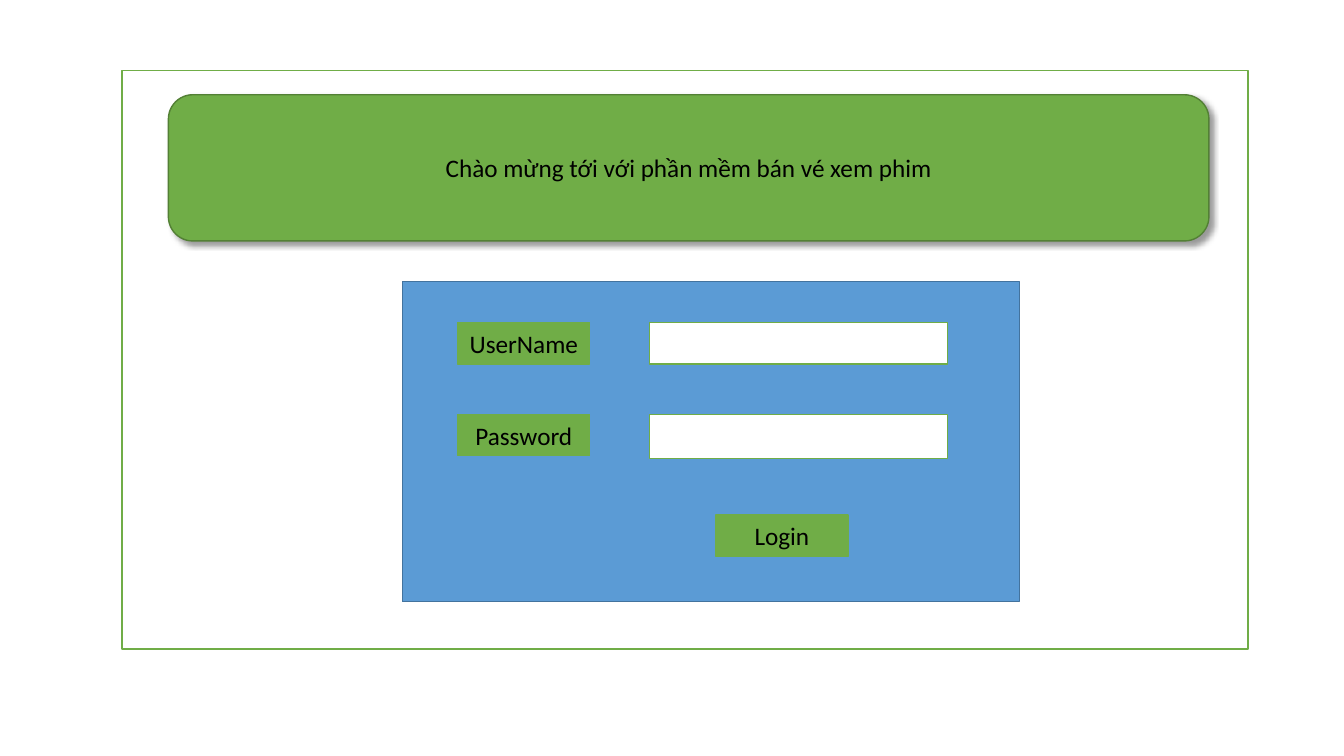
"""Login screen mock-up for a cinema ticket application."""
from dataclasses import dataclass

import pptx
import pptx.dml.color
import pptx.enum.shapes
import pptx.enum.text
import pptx.oxml
import pptx.oxml.ns
import pptx.shapes.autoshape
import pptx.slide
import pptx.util

Inches = pptx.util.Inches
SHAPE = pptx.enum.shapes.MSO_SHAPE

WHITE, BLACK = "FFFFFF", "000000"
GREEN, DARK_GREEN = "70AD47", "538035"
BLUE, DARK_BLUE = "5B9BD5", "43739E"

LABEL_LEFT, LABEL_WIDTH, ROW_HEIGHT = 4.54, 1.31, 0.41
FIELD_LEFT, FIELD_WIDTH = 6.44, 2.96
USER_TOP, PASSWORD_TOP, LOGIN_TOP = 3.2, 4.11, 5.11


@dataclass(frozen=True)
class Box:
    """A filled, outlined shape with optional centred text; lengths in inches."""
    left: float
    top: float
    width: float
    height: float
    fill: str = GREEN
    line: str = GREEN
    text: str = ""
    kind: pptx.enum.shapes.MSO_SHAPE = SHAPE.RECTANGLE


def rgb(value: str) -> pptx.dml.color.RGBColor:
    """Turn a hex string into a colour."""
    return pptx.dml.color.RGBColor.from_string(value)


def draw_box(slide: pptx.slide.Slide, box: Box) -> pptx.shapes.autoshape.Shape:
    """Draw one box and return its shape."""
    s = slide.shapes.add_shape(box.kind, Inches(box.left), Inches(box.top),
                               Inches(box.width), Inches(box.height))
    s.shadow.inherit = False
    s.fill.solid()
    s.fill.fore_color.rgb = rgb(box.fill)
    s.line.color.rgb = rgb(box.line)
    s.line.width = pptx.util.Pt(1)
    if box.text:
        tf = s.text_frame
        tf.word_wrap = True
        tf.vertical_anchor = pptx.enum.text.MSO_ANCHOR.MIDDLE
        p = tf.paragraphs[0]
        p.text = box.text
        p.alignment = pptx.enum.text.PP_ALIGN.CENTER
        p.font.name = "Calibri"
        p.font.size = pptx.util.Pt(18)
        p.font.color.rgb = rgb(BLACK)
    return s


def add_shadow(s: pptx.shapes.autoshape.Shape) -> None:
    """Give a shape a soft shadow towards the lower right."""
    blur, distance = pptx.util.Pt(4), pptx.util.Pt(3)
    effects = s.element.spPr.find(pptx.oxml.ns.qn("a:effectLst"))
    effects.append(pptx.oxml.parse_xml(
        f'<a:outerShdw {pptx.oxml.ns.nsdecls("a")} blurRad="{blur}" '
        f'dist="{distance}" dir="{45 * 60000}" algn="tl" rotWithShape="0">'
        f'<a:srgbClr val="{BLACK}"><a:alpha val="40000"/></a:srgbClr>'
        '</a:outerShdw>'))


WINDOW = Box(1.21, 0.7, 11.17, 5.74, WHITE)
BANNER = Box(1.67, 0.94, 10.32, 1.45, GREEN, DARK_GREEN,
             "Chào mừng tới với phần mềm bán vé xem phim",
             SHAPE.ROUNDED_RECTANGLE)
LOGIN_FORM = [
    Box(3.99, 2.79, 6.12, 3.18, BLUE, DARK_BLUE,
        kind=SHAPE.FLOWCHART_PROCESS),
    Box(FIELD_LEFT, USER_TOP, FIELD_WIDTH, ROW_HEIGHT, WHITE),
    Box(FIELD_LEFT, PASSWORD_TOP, FIELD_WIDTH, 0.44, WHITE),
    Box(LABEL_LEFT, USER_TOP, LABEL_WIDTH, ROW_HEIGHT, text="UserName"),
    Box(LABEL_LEFT, PASSWORD_TOP, LABEL_WIDTH, ROW_HEIGHT, text="Password"),
    Box(7.1, LOGIN_TOP, LABEL_WIDTH, ROW_HEIGHT, text="Login"),
]


def main() -> None:
    """Build the slide and save it."""
    prs = pptx.Presentation()
    prs.slide_width, prs.slide_height = Inches(13.33), Inches(7.5)
    slide = prs.slides.add_slide(prs.slide_layouts[6])
    draw_box(slide, WINDOW)
    add_shadow(draw_box(slide, BANNER))
    for box in LOGIN_FORM:
        draw_box(slide, box)
    prs.save("out.pptx")


main()
